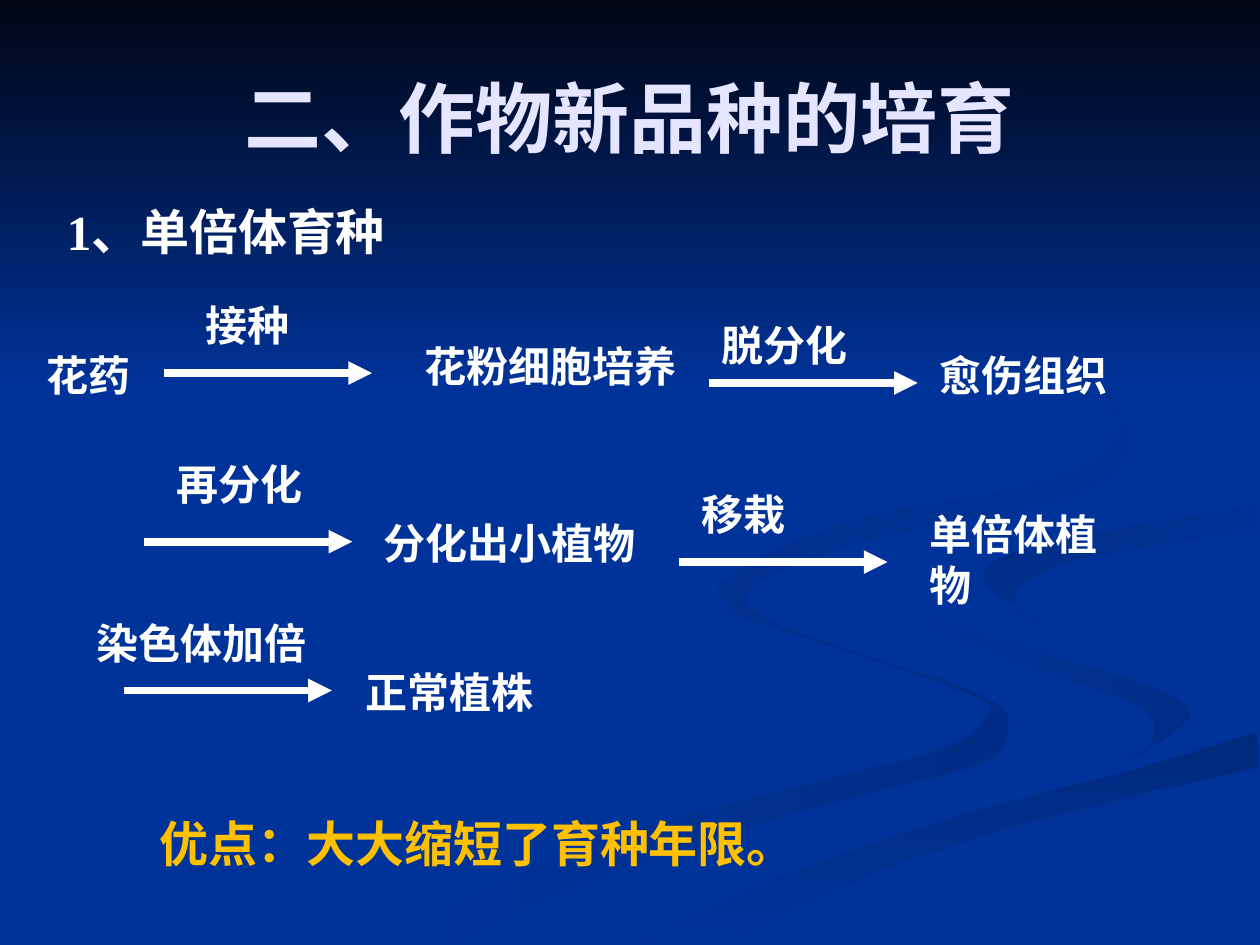
from dataclasses import dataclass

from lxml.etree import SubElement
from pptx import Presentation
from pptx.dml.color import RGBColor
from pptx.enum.shapes import MSO_CONNECTOR
from pptx.enum.text import MSO_ANCHOR, MSO_AUTO_SIZE, PP_ALIGN
from pptx.oxml.ns import qn
from pptx.util import Cm, Pt


@dataclass(frozen=True)
class Theme:
    font: str = "Times New Roman"
    background: str = "003399"
    night: str = "000514"
    shade: str = "002C86"
    deep_shade: str = "002A7D"
    title: str = "E5E5FF"
    text: str = "FFFFFF"
    accent: str = "FFC000"
    title_size: int = 44
    heading_size: int = 28
    step_size: int = 24
    arrow_width: float = 4.5
    arrow_length: float = 4.2
    ribbon_unit: float = 0.0254  # cm per ribbon grid unit


THEME = Theme()


def smooth_curve(knots, steps=6):
    """Catmull-Rom curve through the knots."""
    padded = [knots[0], *knots, knots[-1]]
    curve = []
    for a, b, c, d in zip(padded, padded[1:], padded[2:], padded[3:]):
        for step in range(steps):
            t = step / steps
            curve.append(tuple(
                q + t / 2 * (r - p + t * (2 * p - 5 * q + 4 * r - s + t * (3 * (q - r) + s - p)))
                for p, q, r, s in zip(a, b, c, d)))
    return curve + [knots[-1]]


def write_text(frame, text, *, font, size, color, align=PP_ALIGN.LEFT):
    paragraph = frame.paragraphs[0]
    paragraph.alignment = align
    run = paragraph.add_run()
    run.text = text
    run.font.name = font
    run.font.size = Pt(size)
    run.font.bold = True
    run.font.color.rgb = RGBColor.from_string(color)


class SlideBuilder:
    def __init__(self, slide, theme):
        self.slide = slide
        self.theme = theme

    def background(self):
        fill = self.slide.background.fill
        fill.solid()
        fill.fore_color.rgb = RGBColor.from_string(self.theme.background)

    def gradient_outline(self, points, start, end, angle):
        """Closed outline with a gradient turned clockwise by angle."""
        outline = self.slide.shapes.build_freeform(*points[0], scale=Cm(self.theme.ribbon_unit))
        outline.add_line_segments(points[1:], close=True)
        shape = outline.convert_to_shape()
        shape.shadow.inherit = False
        shape.line.fill.background()
        shape.fill.gradient()
        shape.fill.gradient_angle = 360 - angle
        for stop, color in zip(shape.fill.gradient_stops, (start, end)):
            stop.color.rgb = RGBColor.from_string(color)

    def ribbon(self, edges, start, end, angle):
        """Band between two smooth edges that run the same way."""
        near, far = map(smooth_curve, edges)
        self.gradient_outline(near + far[::-1], start, end, angle)

    def label(self, text, left, top, width, height=1.27, *, size=None, color=None,
              align=PP_ALIGN.LEFT, anchor=MSO_ANCHOR.TOP):
        box = self.slide.shapes.add_textbox(Cm(left), Cm(top), Cm(width), Cm(height))
        frame = box.text_frame
        frame.word_wrap = True
        frame.auto_size = MSO_AUTO_SIZE.NONE
        frame.vertical_anchor = anchor
        write_text(frame, text, font=self.theme.font, size=size or self.theme.step_size,
                   color=color or self.theme.text, align=align)

    def arrow(self, left, top):
        right = left + self.theme.arrow_length
        arrow = self.slide.shapes.add_connector(
            MSO_CONNECTOR.STRAIGHT, Cm(left), Cm(top), Cm(right), Cm(top))
        arrow.line.color.rgb = RGBColor.from_string(self.theme.text)
        arrow.line.width = Pt(self.theme.arrow_width)
        line = arrow._element.spPr.find(qn("a:ln"))
        SubElement(line, qn("a:tailEnd"), type="triangle")
        SubElement(arrow._element.spPr, qn("a:effectLst"))


# Background ribbons: two edges, gradient colours, angle
RIBBONS = [
    ([[(575, 459), (570, 470), (593, 491), (679, 519), (770, 551), (785, 566), (749, 594),
       (616, 629), (458, 674), (300, 749)],
      [(575, 459), (594, 485), (682, 519), (781, 553), (800, 581), (769, 609), (623, 647),
       (466, 700), (361, 749)]],
     THEME.background, THEME.shade, 0),
    ([[(724, 464), (745, 490), (830, 519), (919, 547), (943, 570), (894, 605)],
      [(724, 464), (746, 500), (838, 536), (907, 562), (914, 589), (894, 605)]],
     THEME.background, THEME.shade, 45),
    ([[(503, 749), (630, 693), (764, 647), (903, 610), (998, 581)],
      [(571, 749), (695, 692), (821, 651), (998, 609)]],
     THEME.deep_shade, THEME.background, 90),
    ([[(826, 496), (781, 460), (810, 437), (898, 418), (998, 402)],
      [(826, 496), (805, 472), (843, 448), (936, 429), (998, 420)]],
     THEME.shade, THEME.background, 45),
    ([[(762, 233), (843, 275), (894, 344), (855, 391), (683, 430), (593, 470), (622, 500)],
      [(762, 233), (846, 279), (888, 341), (830, 382), (676, 414), (577, 462), (622, 500)]],
     THEME.shade, THEME.background, 45),
]

NIGHT_SKY = [(0, 0), (0, 308), (1000, 308), (1000, 0)]

# Breeding steps and the treatments between them: text, left, top, width in cm
STEPS = [
    ("花药", 0.69, 6.93, 3.6),
    ("接种", 3.89, 5.92, 3.4),
    ("花粉细胞培养", 8.31, 6.73, 6.2),
    ("脱分化", 14.3, 6.32, 3.4),
    ("愈伤组织", 18.69, 6.93, 4.6),
    ("再分化", 3.3, 9.12, 3.4),
    ("分化出小植物", 7.49, 10.31, 6.4),
    ("移栽", 13.89, 9.73, 3.4),
    ("单倍体植物", 18.49, 10.13, 4.6, 2.29),
    ("染色体加倍", 1.7, 12.32, 5.4),
    ("正常植株", 7.11, 13.31, 4.6),
]

ARROW_STARTS = [(3.3, 7.52), (14.3, 7.72), (2.9, 10.92), (13.69, 11.33), (2.49, 13.92)]


def main():
    deck = Presentation()
    deck.slide_width, deck.slide_height = Cm(25.4), Cm(19.05)
    builder = SlideBuilder(deck.slides.add_slide(deck.slide_layouts[6]), THEME)

    # Backdrop
    builder.background()
    for ribbon in RIBBONS:
        builder.ribbon(*ribbon)
    builder.gradient_outline(NIGHT_SKY, THEME.night, THEME.background, 90)

    # Title and section heading
    builder.label("二、作物新品种的培育", 1.27, 0.76, 22.86, 3.18, size=THEME.title_size,
                  color=THEME.title, align=PP_ALIGN.CENTER, anchor=MSO_ANCHOR.MIDDLE)
    builder.label("1、单倍体育种", 1.1, 3.94, 8.2, 1.45, size=THEME.heading_size)

    # Breeding process
    for step in STEPS:
        builder.label(*step)
    for start in ARROW_STARTS:
        builder.arrow(*start)

    # Advantage
    builder.label("优点：大大缩短了育种年限。", 2.97, 16.28, 16.6, 1.45,
                  size=THEME.heading_size, color=THEME.accent)

    deck.save("out.pptx")


if __name__ == "__main__":
    main()
